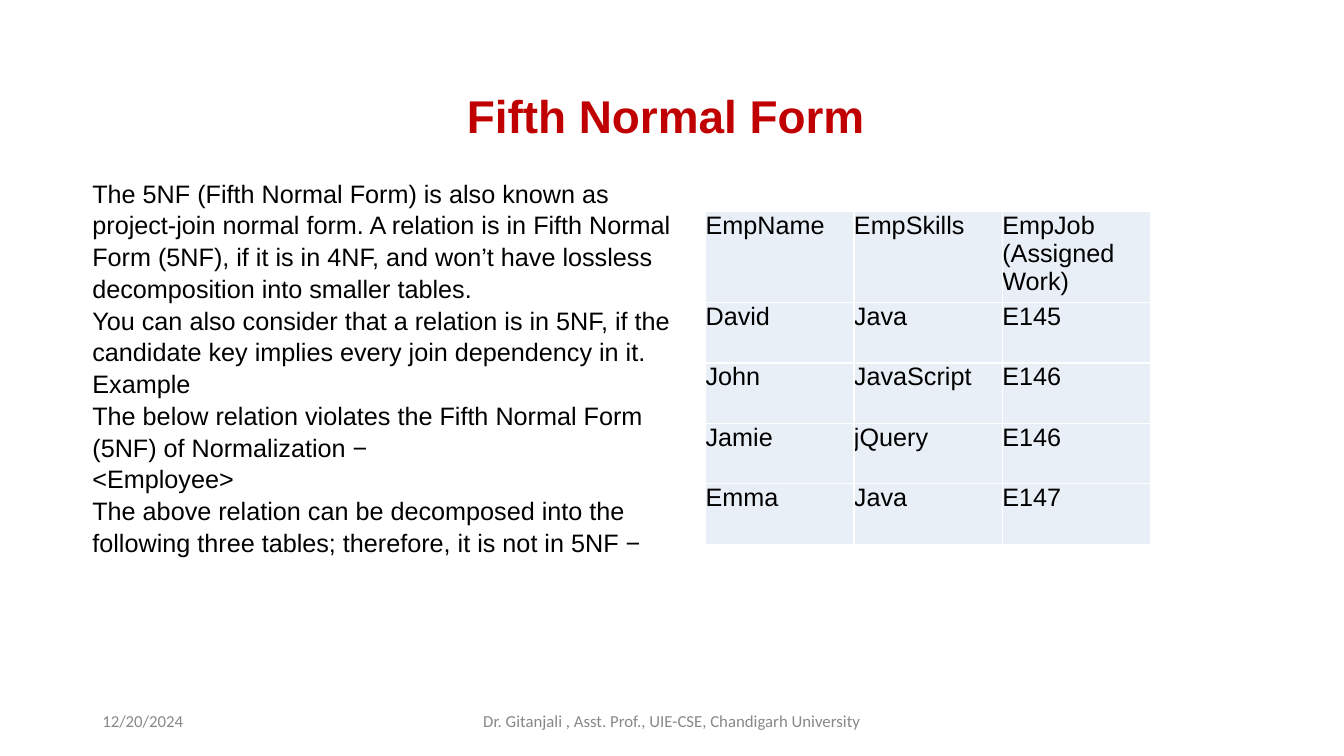
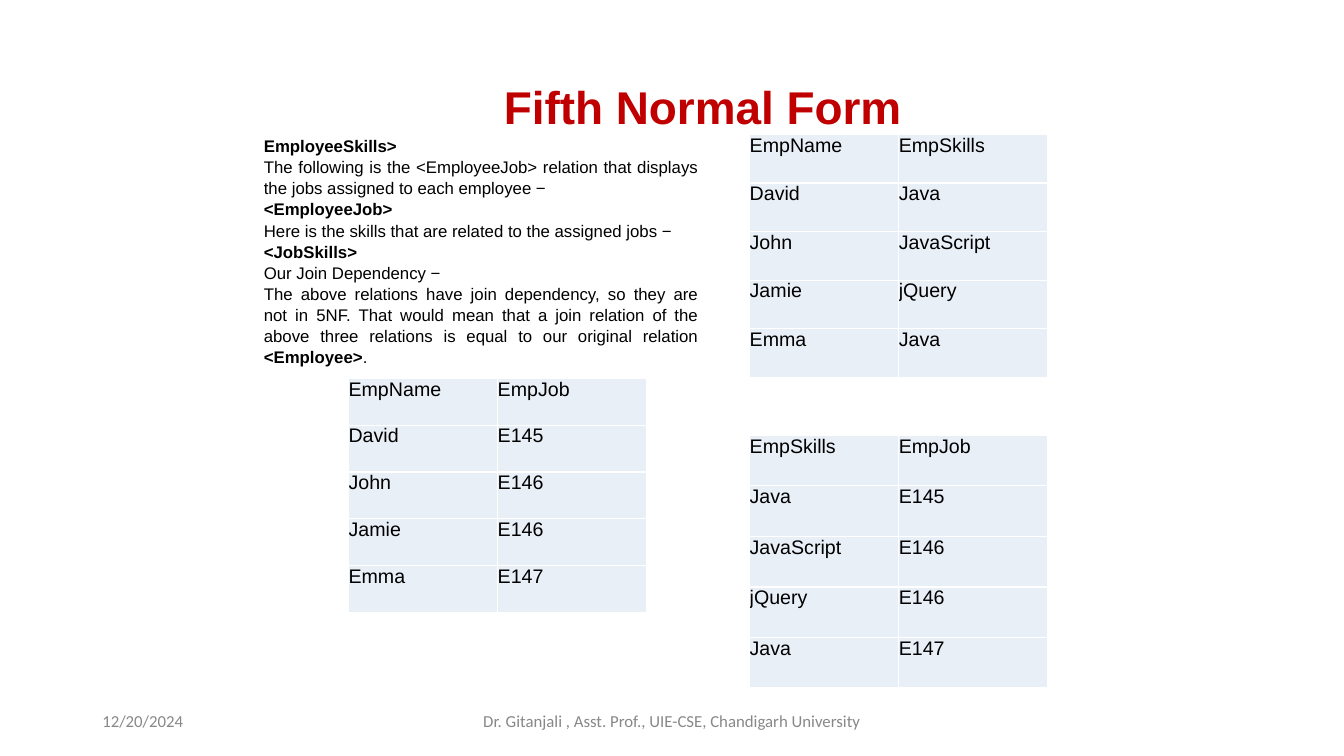
import pptx
import pptx.dml.color
import pptx.enum.text
import pptx.oxml
import pptx.oxml.ns
import pptx.util

Pt = pptx.util.Pt
ALIGN = pptx.enum.text.PP_ALIGN
ANCHOR = pptx.enum.text.MSO_ANCHOR


def paint(code):
    return pptx.dml.color.RGBColor.from_string(code)


class Deck:
    red, black, gray = "C00000", "000000", "888888"
    tint, white = "E9EFF7", "FFFFFF"
    font, small = "Arial", "Calibri"

    def __init__(self):
        self.file = pptx.Presentation()
        self.file.slide_width = Pt(960)
        self.file.slide_height = Pt(540)
        self.slide = None

    def page(self, left, top, width):
        self.slide = self.file.slides.add_slide(self.file.slide_layouts[6])
        self.text((left, top, width, 48), [[("Fifth Normal Form ", True)]],
                  32.8, self.red, ALIGN.CENTER, ANCHOR.TOP, space=1.2)
        self.note(66, 216, "12/20/2024", ALIGN.LEFT)
        self.note(318, 324, "Dr. Gitanjali , Asst. Prof., UIE-CSE, Chandigarh University",
                  ALIGN.CENTER)

    def note(self, left, width, words, align):
        self.text((left, 500.5, width, 28.8), [[(words, False)]], 12, self.gray,
                  align, pad=(7.2, 3.6), font=self.small)

    def run(self, para, words, size, color, bold=False, font=None):
        run = para.add_run()
        run.text = words
        run.font.size = Pt(size)
        run.font.name = font or self.font
        run.font.bold = bold
        run.font.color.rgb = paint(color)

    def text(self, place, paras, size, color, align, anchor=ANCHOR.MIDDLE,
             pad=(0, 0), space=1.0, font=None):
        frame = self.slide.shapes.add_textbox(*map(Pt, place)).text_frame
        frame.word_wrap = True
        frame.vertical_anchor = anchor
        frame.margin_left = frame.margin_right = Pt(pad[0])
        frame.margin_top = frame.margin_bottom = Pt(pad[1])
        for i, parts in enumerate(paras):
            para = frame.add_paragraph() if i else frame.paragraphs[0]
            para.alignment = align
            para.line_spacing = space
            for words, bold in parts:
                self.run(para, words, size, color, bold, font)

    def table(self, left, top, wide, highs, rows, size):
        count = len(rows[0])
        table = self.slide.shapes.add_table(
            len(rows), count, Pt(left), Pt(top), Pt(wide * count), Pt(sum(highs))).table
        table.first_row = table.horz_banding = False
        for col in table.columns:
            col.width = Pt(wide)
        for row, high, words in zip(table.rows, highs, rows):
            row.height = Pt(high)
            for cell, word in zip(row.cells, words):
                self.cell(cell, word, size)

    def cell(self, cell, word, size):
        cell.margin_left = cell.margin_right = Pt(0)
        cell.margin_top = cell.margin_bottom = Pt(0)
        self.run(cell.text_frame.paragraphs[0], word, size, self.black)
        props = cell._tc.get_or_add_tcPr()
        for side in ("lnL", "lnR", "lnT", "lnB"):
            props.append(pptx.oxml.parse_xml(
                f'<a:{side} {pptx.oxml.ns.nsdecls("a")} w="{Pt(1)}"><a:solidFill>'
                f'<a:srgbClr val="{self.white}"/></a:solidFill></a:{side}>'))
        cell.fill.solid()
        cell.fill.fore_color.rgb = paint(self.tint)


def main():
    names = ["EmpName", "David", "John", "Jamie", "Emma"]
    skills = ["EmpSkills", "Java", "JavaScript", "jQuery", "Java"]
    codes = ["E145", "E146", "E146", "E147"]
    jobs = ["EmpJob"] + codes
    work = ["EmpJob (Assigned Work)"] + codes

    deck = Deck()
    deck.page(66, 54.7, 828)
    lines = [
        "The 5NF (Fifth Normal Form) is also known as project-join normal form. A relation is in "
        "Fifth Normal Form (5NF), if it is in 4NF, and won’t have lossless decomposition into "
        "smaller tables.",
        "You can also consider that a relation is in 5NF, if the candidate key implies every join "
        "dependency in it.",
        "Example",
        "The below relation violates the Fifth Normal Form (5NF) of Normalization −",
        "<Employee>",
        "The above relation can be decomposed into the following three tables; therefore, it is "
        "not in 5NF −",
    ]
    deck.text((66, 131, 414, 262), [[(line, False)] for line in lines], 18, deck.black,
              ALIGN.LEFT, space=1.05)
    deck.table(504, 151.2, 106, [64.8] + [43.2] * 4, list(zip(names, skills, work)), 18)

    deck.page(194.4, 48.2, 624)
    paras = [
        [("EmployeeSkills>", True)],
        [("The following is the <EmployeeJob> relation that displays the jobs assigned to each "
          "employee −", False)],
        [("<EmployeeJob>", True)],
        [("Here is the skills that are related to the assigned jobs −", False)],
        [("<JobSkills>", True)],
        [("Our Join Dependency −", False)],
        [("The above relations have join dependency, so they are not in 5NF. That would mean that "
          "a join relation of the above three relations is equal to our original relation ",
          False), ("<Employee>", True), (".", False)],
    ]
    deck.text((181.4, 95.8, 324.7, 167), paras, 12, deck.black, ALIGN.JUSTIFY,
              pad=(7.2, 3.6), space=1.05)
    for left, top, high, first, second in (
            (535.5, 96, 34.7, names, skills),
            (249, 270.2, 33.5, names, jobs),
            (535.5, 311, 36.1, skills, jobs)):
        deck.table(left, top, 106.5, [high] * 5, list(zip(first, second)), 14)

    deck.file.save("out.pptx")


if __name__ == "__main__":
    main()
